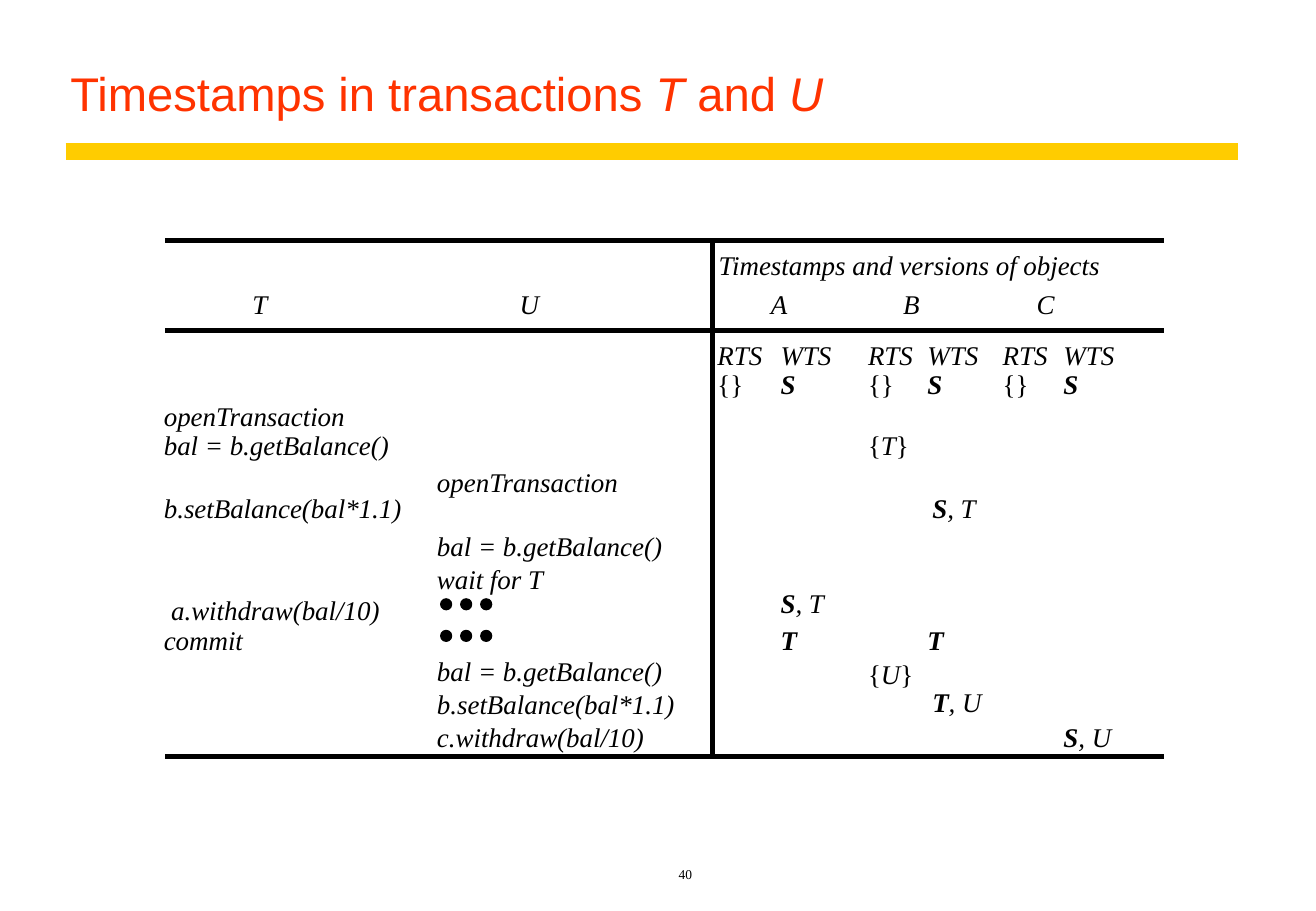
"""Build the slide on timestamps in transactions T and U."""
import pptx
import pptx.util
import pptx.dml.color
import pptx.enum.shapes
import pptx.enum.text
import pptx.oxml.ns
import lxml.etree

Inches = pptx.util.Inches
Pt = pptx.util.Pt
COLORS = {"title": "FF3300", "rule": "FFCC00", "ink": "000000"}
SERIF = "Times New Roman"
WIDTH, HEIGHT = 10.84, 7.5


def rgb(name):
    return pptx.dml.color.RGBColor.from_string(COLORS[name])


def add_runs(p, runs, size, face, color):
    for text, style in runs:
        r = p.add_run()
        r.text = text
        r.font.size, r.font.name = Pt(size), face
        r.font.color.rgb = rgb(color)
        r.font.bold, r.font.italic = "b" in style, "i" in style


prs = pptx.Presentation()
prs.slide_width, prs.slide_height = Inches(WIDTH), Inches(HEIGHT)
s = prs.slides.add_slide(prs.slide_layouts[5])

title = s.shapes.title
title.left, title.top = Inches(0.48), Inches(0.25)
title.width, title.height = Inches(9.72), Inches(0.8)
tf = title.text_frame
tf.auto_size = pptx.enum.text.MSO_AUTO_SIZE.NONE
tf.vertical_anchor = pptx.enum.text.MSO_ANCHOR.BOTTOM
p = tf.paragraphs[0]
p.alignment = pptx.enum.text.PP_ALIGN.LEFT
p.line_spacing = 0.9
add_runs(p, [("Timestamps in transactions ", ""), ("T", "i"), (" and ", ""), ("U", "i")],
         28, "Arial", "title")

number = s.shapes.add_textbox(Inches(2.35), Inches(7), Inches(6.59), Inches(0.31))
tf = number.text_frame
tf.word_wrap = True
tf.vertical_anchor = pptx.enum.text.MSO_ANCHOR.BOTTOM
p = tf.paragraphs[0]
p.alignment = pptx.enum.text.PP_ALIGN.CENTER
add_runs(p, [("40", "")], 8, SERIF, "ink")

LEFT, DIVIDER, RIGHT = 1.36, 5.87, 9.59
TOP, HEADER, BOTTOM = 1.98, 2.72, 6.23
lines = [
    (0.54, 1.25, 10.2, 1.25, "rule", 10),
    *[(LEFT, y, RIGHT, y, "ink", 3) for y in (TOP, HEADER, BOTTOM)],
    (DIVIDER, TOP, DIVIDER, BOTTOM, "ink", 3),
]
for x1, y1, x2, y2, color, weight in lines:
    line = s.shapes.add_connector(pptx.enum.shapes.MSO_CONNECTOR.STRAIGHT,
                                  Inches(x1), Inches(y1), Inches(x2), Inches(y2))
    line.line.color.rgb = rgb(color)
    line.line.width = Pt(weight)
    lxml.etree.SubElement(line._element.spPr, pptx.oxml.ns.qn("a:effectLst"))

columns = {
    "heading": (5.92, 3.4), "T name": (2.08, 0.3), "U name": (4.28, 0.3),
    "T": (1.35, 2.1), "T indented": (1.41, 2.1), "U": (3.6, 2.1),
    "A name": (6.35, 0.3), "A RTS": (5.91, 0.5), "A WTS": (6.43, 0.6),
    "B name": (7.44, 0.3), "B RTS": (7.15, 0.48), "B WTS": (7.64, 0.6),
    "C name": (8.54, 0.3), "C RTS": (8.26, 0.5), "C WTS": (8.76, 0.6),
    "B pair": (7.68, 0.6),
}
rows = {
    2.05: [("heading", [("Timestamps and versions of objects", "i")])],
    2.37: [(f"{name} name", [(name, "i")]) for name in "TUABC"],
    2.79: [(f"{name} {kind}", [(kind, "i")]) for name in "ABC" for kind in ("RTS", "WTS")],
    3.03: [(f"{name} {kind}", [run]) for name in "ABC"
           for kind, run in (("RTS", ("{}", "")), ("WTS", ("S", "bi")))],
    3.29: [("T", [("openTransaction", "i")])],
    3.53: [("T", [("bal = b.getBalance()", "i")]),
           ("B RTS", [("{", ""), ("T", "i"), ("}", "")])],
    3.83: [("U", [("openTransaction", "i")])],
    4.05: [("T", [("b.setBalance(bal*1.1)", "i")]),
           ("B pair", [("S", "bi"), (", T", "i")])],
    4.36: [("U", [("bal = b.getBalance()", "i")])],
    4.63: [("U", [("wait for T", "i")])],
    4.83: [("A WTS", [("S", "bi"), (", T", "i")])],
    4.89: [("T indented", [("a.withdraw(bal/10)", "i")])],
    5.13: [("T", [("commit", "i")]), ("A WTS", [("T", "bi")]), ("B WTS", [("T", "bi")])],
    5.39: [("U", [("bal = b.getBalance()", "i")])],
    5.41: [("B RTS", [("{", ""), ("U", "i"), ("}", "")])],
    5.64: [("B pair", [("T", "bi"), (", U", "i")])],
    5.66: [("U", [("b.setBalance(bal*1.1)", "i")])],
    5.93: [("U", [("c.withdraw(bal/10)", "i")]),
           ("C WTS", [("S", "bi"), (", U", "i")])],
}
for y, cells in rows.items():
    for column, runs in cells:
        x, width = columns[column]
        tf = s.shapes.add_textbox(Inches(x), Inches(y), Inches(width), Inches(0.27)).text_frame
        tf.word_wrap = True
        tf.margin_left = tf.margin_right = tf.margin_top = tf.margin_bottom = 0
        add_runs(tf.paragraphs[0], runs, 16, SERIF, "ink")

DOT, DOT_STEP = 0.09, 0.165
for y in (4.93, 5.19):
    dots = s.shapes.add_group_shape()
    for i in range(3):
        dot = dots.shapes.add_shape(pptx.enum.shapes.MSO_SHAPE.OVAL, Inches(3.63 + i * DOT_STEP),
                                    Inches(y), Inches(DOT), Inches(DOT))
        dot.shadow.inherit = False
        dot.fill.solid()
        dot.fill.fore_color.rgb = rgb("ink")
        dot.line.color.rgb = rgb("ink")
        dot.line.width = Pt(0.75)

prs.save("out.pptx")
